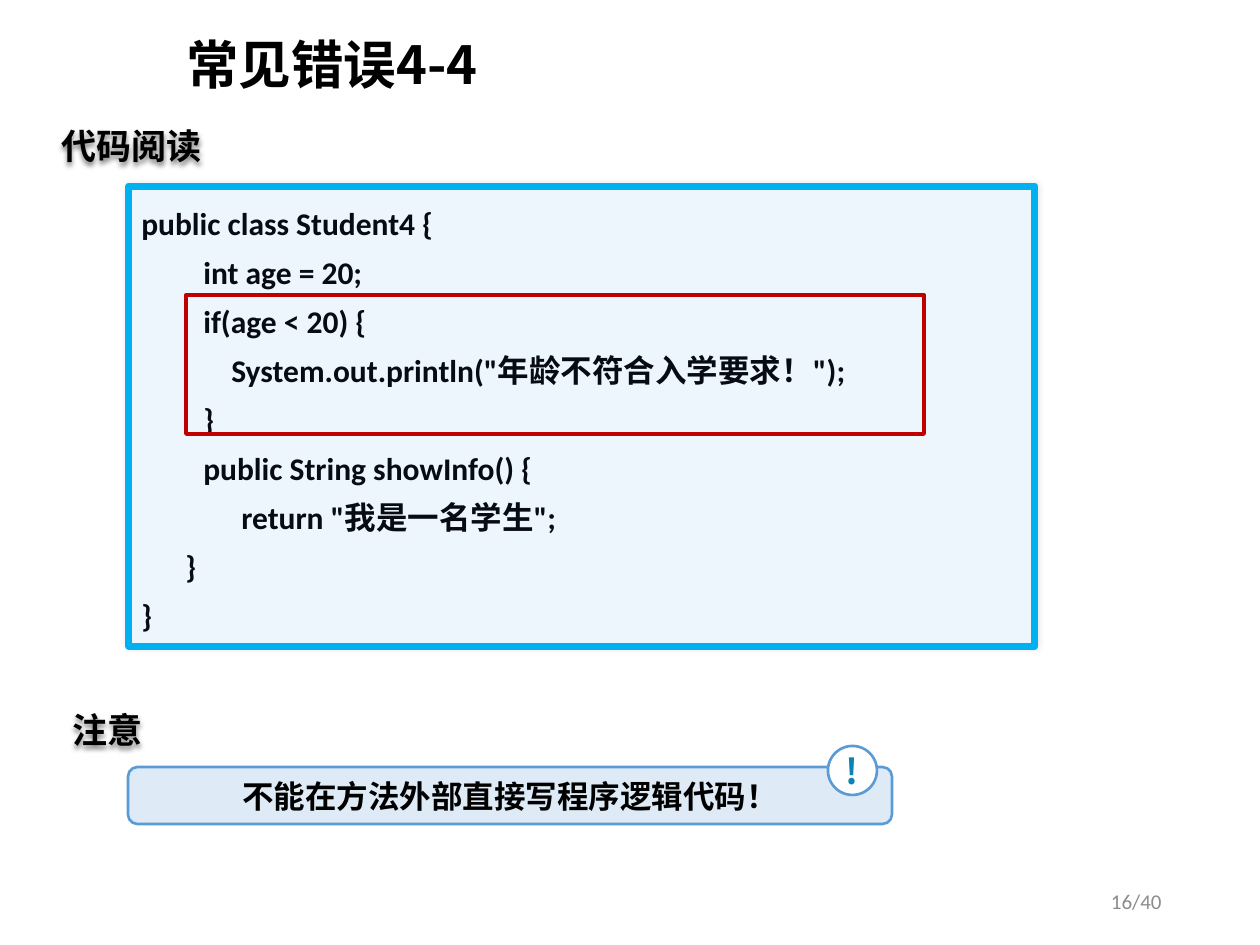
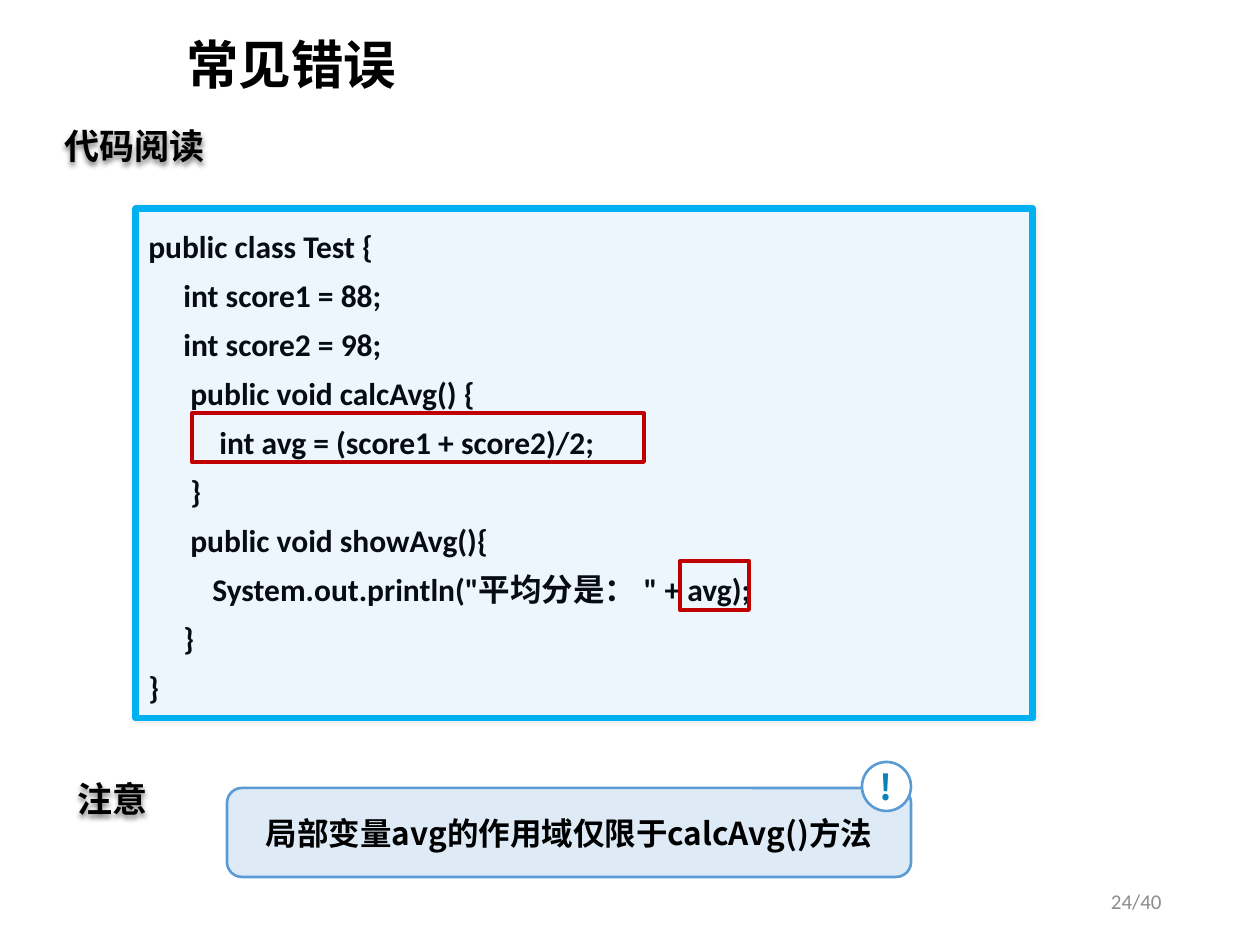
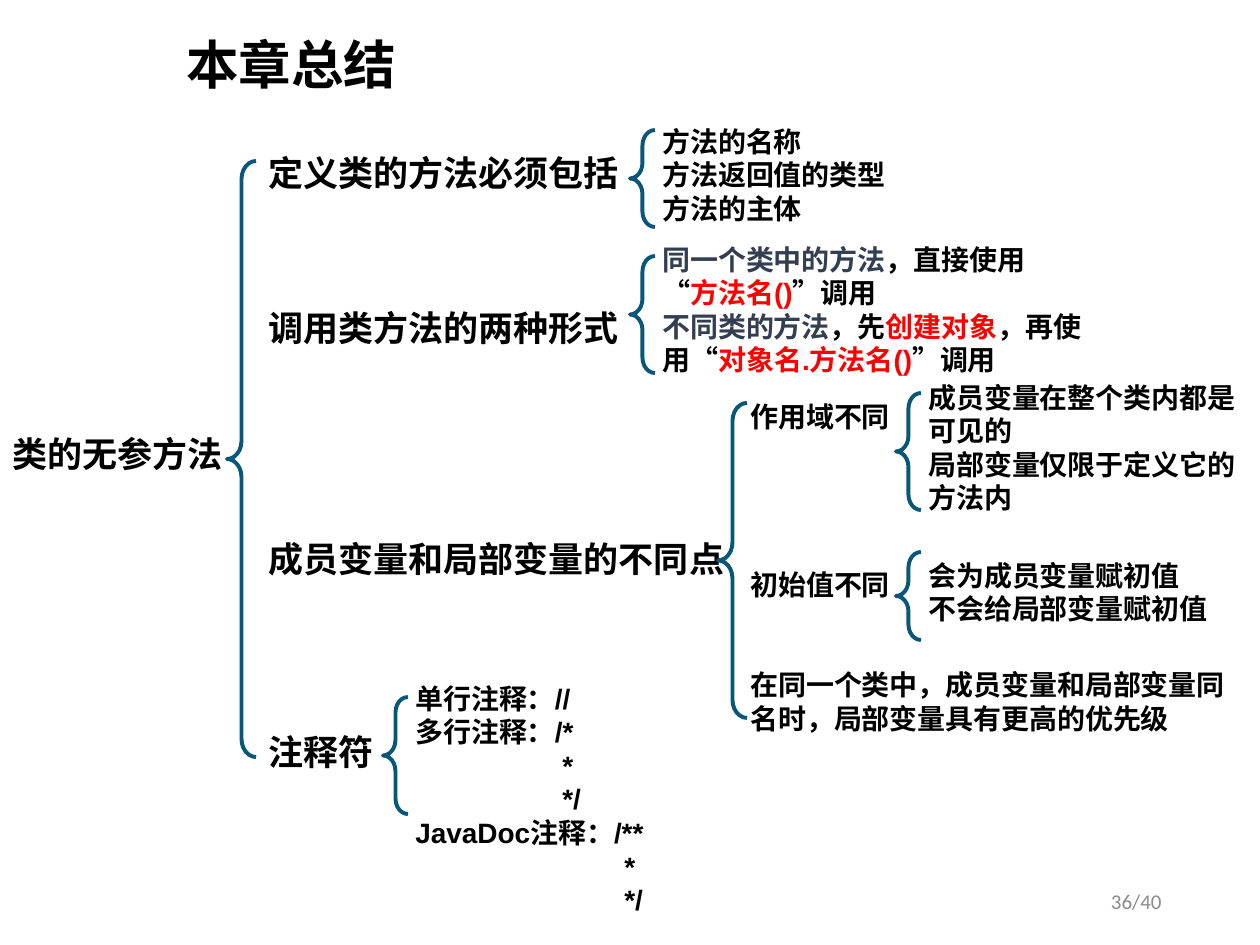
from lxml import etree
from pptx import Presentation
from pptx.dml.color import RGBColor as Rgb
from pptx.enum.shapes import MSO_SHAPE as Kind
from pptx.enum.text import MSO_ANCHOR as Anchor, PP_ALIGN as Align
from pptx.oxml.ns import qn
from pptx.util import Emu, Pt

SCALE = 914400 / 126
HUES = {
    "black": "000000", "white": "FFFFFF", "code": "060B14", "paper": "EDF5FD",
    "sky": "00B0F0", "tip": "DEEBF7", "edge": "5B9BD5", "sign": "0C83B8",
    "mark": "C00000", "brace": "08577A", "slate": "333F50", "red": "FF0000",
    "grey": "8C8C8C",
}
NOTO, ARIAL, CALIBRI = "Noto Sans CJK SC", "Arial", "Calibri"
LINE = 1.2  # height of an empty line per point of text size


def px(count):
    return Emu(round(count * SCALE))


def hue(name):
    return Rgb.from_string(HUES[name])


def style(run, size, font, color, bold):
    run.font.size, run.font.bold, run.font.name = Pt(size), bold, font
    run.font.color.rgb = hue(color)
    etree.SubElement(run._r.get_or_add_rPr(), qn("a:ea"), typeface=NOTO)


def write(frame, lines, size, font=NOTO, color="black", bold=True,
          align=Align.LEFT, lead=None, indents=(), gaps=()):
    """Fill a frame; a line is a string or a list of (text, colour) pieces."""
    frame.word_wrap = True
    for n, line in enumerate(lines):
        para = frame.paragraphs[0] if n == 0 else frame.add_paragraph()
        para.alignment = align
        if lead:
            para.line_spacing = lead
        if indents and indents[n]:
            para._p.get_or_add_pPr().set("marL", str(px(indents[n])))
        if gaps and gaps[n]:
            para.space_before = Pt(gaps[n])
        pieces = [(line, color)] if isinstance(line, str) else line
        for text, tint in pieces:
            run = para.add_run()
            run.text = text
            style(run, size, font, tint, bold)


def add_text(slide, box, lines, size, anchor=Anchor.TOP, **looks):
    shape = slide.shapes.add_textbox(*map(px, box))
    shape.text_frame.vertical_anchor = anchor
    write(shape.text_frame, lines, size, **looks)
    return shape


def add_shape(slide, kind, box, edge, width, fill=None, round_by=None):
    shape = slide.shapes.add_shape(kind, *map(px, box))
    shape.shadow.inherit = False
    shape.line.color.rgb, shape.line.width = hue(edge), Pt(width)
    if fill:
        shape.fill.solid()
        shape.fill.fore_color.rgb = hue(fill)
    else:
        shape.fill.background()
    if round_by is not None:
        shape.adjustments[0] = round_by
    return shape


def shade(shape, alpha, blur, drop):
    shape.shadow.inherit = False
    effects = shape._element.spPr.find(qn("a:effectLst"))
    outer = etree.SubElement(effects, qn("a:outerShdw"), blurRad=str(Pt(blur)),
                             dist=str(Pt(drop)), dir="5400000")
    color = etree.SubElement(outer, qn("a:srgbClr"), val=HUES["black"])
    etree.SubElement(color, qn("a:alpha"), val=str(alpha * 1000))


def start(deck, title, page):
    """Add a blank slide with its title and page number."""
    slide = deck.slides.add_slide(deck.slide_layouts[6])
    add_text(slide, (174, 13, 1086, 110), [title], 30, Anchor.MIDDLE, lead=0.9)
    add_text(slide, (890, 876, 284, 50), [f"{page}/40"], 12, Anchor.MIDDLE,
             font=CALIBRI, color="grey", bold=False, align=Align.RIGHT)
    return slide


def add_label(slide, left, top, text):
    shape = add_text(slide, (left, top, 42 + 35 * len(text), 55), [text], 20)
    shade(shape, 50, 3, 2)


def add_code(slide, box, code, marks):
    """Draw a code panel; marks are boxes measured from its corner."""
    panel = add_shape(slide, Kind.ROUNDED_RECTANGLE, box, "sky", 4, "paper", 0)
    shade(panel, 10, 3, 0)
    panel.text_frame.vertical_anchor = Anchor.TOP
    indents, lines = zip(*code)
    write(panel.text_frame, lines, 18, font=CALIBRI, color="code",
          lead=1.3, indents=indents)
    for left, top, wide, high in marks:
        add_shape(slide, Kind.RECTANGLE,
                  (box[0] + left, box[1] + top, wide, high), "mark", 2.25)


def add_tip(slide, box, text, back, rise):
    """Draw a tip bar with a badge set back from its right and above its top."""
    left, top, wide, _ = box
    badge = (left + wide - back, top - rise, 49, 49)
    parts = [(Kind.ROUNDED_RECTANGLE, box, "tip", 0.167, text, 18, "black"),
             (Kind.OVAL, badge, "white", None, "!", 20, "sign")]
    for kind, place, fill, bend, words, size, color in parts:
        shape = add_shape(slide, kind, place, "edge", 1.5, fill, bend)
        frame = shape.text_frame
        frame.margin_left = frame.margin_right = 0
        frame.margin_top = frame.margin_bottom = 0
        frame.vertical_anchor = Anchor.MIDDLE
        write(frame, [words], size, color=color, align=Align.CENTER)


def add_branch(slide, box, lines, top, high, size=16, wide=25, back=20,
               blanks=(), gap_size=16, indents=()):
    """Place lines in a box, and a brace at their left side."""
    add_shape(slide, Kind.LEFT_BRACE, (box[0] - back, top, wide, high),
              "brace", 2.25, round_by=0.62)
    gaps = [count * gap_size * LINE for count in blanks]
    add_text(slide, box, lines, size, font=ARIAL, gaps=gaps, indents=indents)


def code_slide(deck, title, page, box, code, marks, labels, tip):
    slide = start(deck, title, page)
    add_code(slide, box, code, marks)
    for label in labels:
        add_label(slide, *label)
    add_tip(slide, *tip)


def tree_slide(deck):
    slide = start(deck, "本章总结", 36)
    add_text(slide, (0, 431, 251, 50), ["类的无参方法"], 20, font=ARIAL, lead=0.9)
    add_branch(slide, (256, 145, 690, 640),
               ["定义类的方法必须包括", "调用类方法的两种形式",
                "成员变量和局部变量的不同点", "注释符"],
               161, 596, size=20, wide=29, back=29,
               blanks=(0, 3, 5, 4), gap_size=18)
    add_branch(slide, (650, 118, 280, 115),
               ["方法的名称", "方法返回值的类型", "方法的主体"], 130, 97)
    add_branch(slide, (650, 236, 483, 149), [
        [("同一个类中的方法", "slate"), ("，直接使用", "black")],
        [("“", "black"), ("方法名()", "red"), ("”调用", "black")],
        [("不同类的方法", "slate"), ("，先", "black"), ("创建对象", "red"),
         ("，再使用“", "black"), ("对象名.方法名()", "red"), ("”调用", "black")],
    ], 256, 117)
    add_branch(slide, (738, 393, 522, 352),
               ["作用域不同", "初始值不同",
                "在同一个类中，成员变量和局部变量同名时，局部变量具有更高的优先级"],
               403, 315, wide=29, blanks=(0, 4, 2))
    add_branch(slide, (916, 374, 344, 149),
               ["成员变量在整个类内都是可见的", "局部变量仅限于定义它的方法内"],
               393, 117)
    add_branch(slide, (916, 552, 335, 81),
               ["会为成员变量赋初值", "不会给局部变量赋初值"], 552, 88)
    add_branch(slide, (403, 675, 325, 251),
               ["单行注释：//", "多行注释：/*", "*", "*/",
                "JavaDoc注释：/**", "*", "*/"],
               697, 117, indents=(0, 0, 147, 147, 0, 209, 209))


def main():
    deck = Presentation()
    deck.slide_width, deck.slide_height = px(1260), px(945)
    code_slide(
        deck, "常见错误4-4", 16, (129, 186, 906, 460),
        [(0, "public class Student4 {"),
         (62, "int age = 20;"),
         (62, "if(age < 20) {"),
         (90, "System.out.println(\"年龄不符合入学要求！\");"),
         (62, "}"),
         (62, "public String showInfo() {"),
         (100, "return \"我是一名学生\";"),
         (44, "}"),
         (0, "}")],
        [(57, 109, 738, 139)],
        [(49, 118, "代码阅读"), (60, 702, "注意")],
        ((128, 767, 764, 57), "不能在方法外部直接写程序逻辑代码！", 64, 21))
    code_slide(
        deck, "常见错误", 24, (136, 209, 897, 509),
        [(0, "public class Test {"),
         (35, "int score1 = 88;"),
         (35, "int score2 = 98;"),
         (42, "public void calcAvg() {"),
         (71, "int avg = (score1 + score2)/2;"),
         (42, "}"),
         (42, "public void showAvg(){"),
         (64, "System.out.println(\"平均分是： \" + avg);"),
         (35, "}"),
         (0, "}")],
        [(544, 352, 69, 49), (56, 204, 452, 49)],
        [(52, 118, "代码阅读"), (65, 771, "注意")],
        ((227, 788, 684, 89), "局部变量avg的作用域仅限于calcAvg()方法", 49, 26))
    tree_slide(deck)
    deck.save("out.pptx")


if __name__ == "__main__":
    main()
